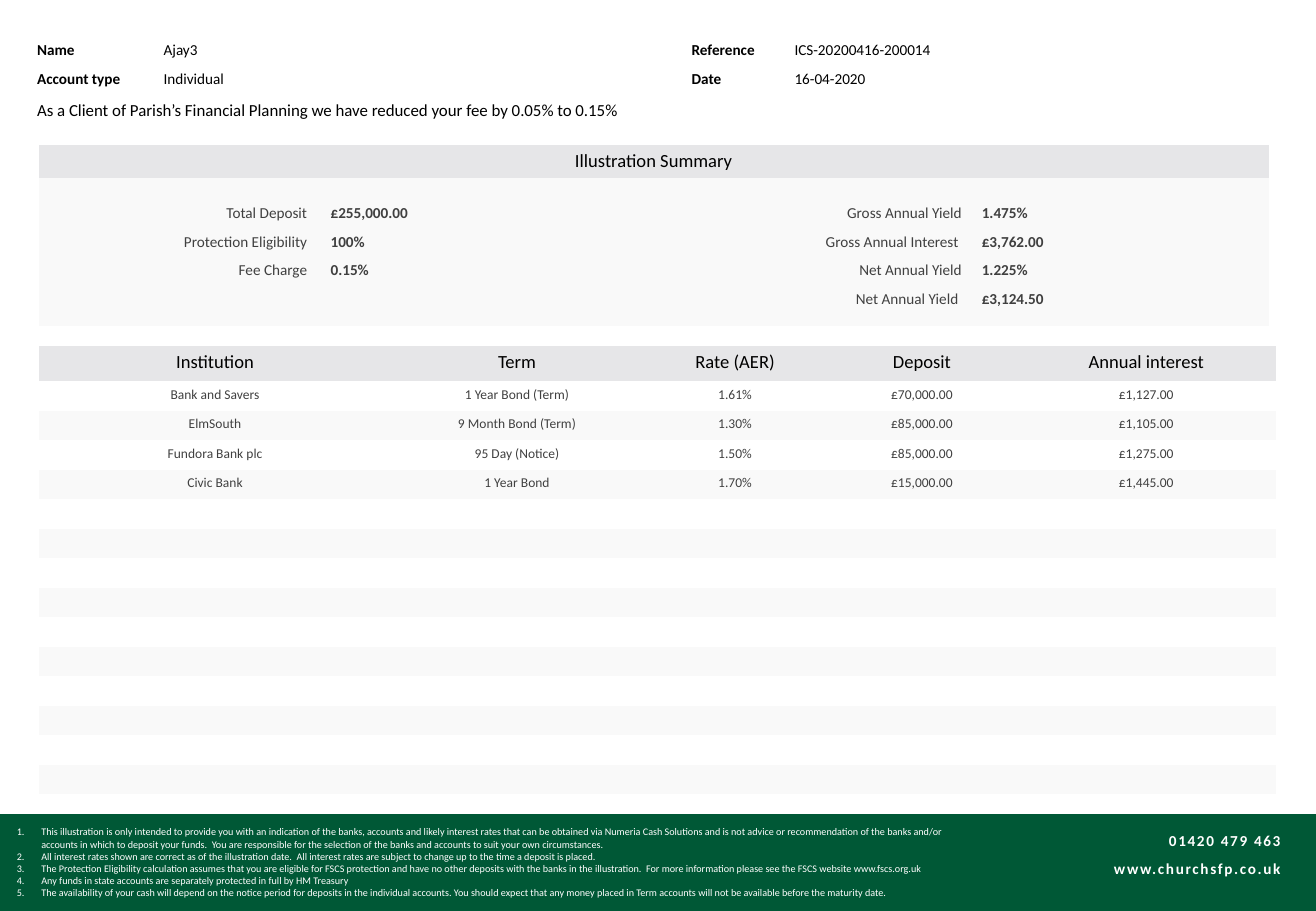
from dataclasses import dataclass
from typing import Optional

from lxml.etree import SubElement
from pptx import Presentation
from pptx.dml.color import RGBColor
from pptx.enum.shapes import MSO_SHAPE
from pptx.enum.text import MSO_ANCHOR, PP_ALIGN
from pptx.oxml.ns import qn
from pptx.util import Emu, Pt

PX = 6350  # EMU in one px, 144 px to the inch
FONT = "Calibri"
NO_STYLE_NO_GRID = "{2D5ABB26-0587-4C30-8999-92F81FD0307C}"
COLORS = {
    "green": "005836",
    "white": "FFFFFF",
    "black": "000000",
    "text": "404040",
    "header": "E6E6E8",
    "band": "F9F9F9",
}


@dataclass
class Cell:
    text: str = ""
    size: int = 9
    color: str = "text"
    bold: bool = False
    align: PP_ALIGN = PP_ALIGN.LEFT
    fill: Optional[str] = None
    span: int = 1


@dataclass
class Grid:
    x: int
    y: int
    cols: list[int]
    heights: list[int]
    rows: list[list[Cell]]
    margins: tuple[int, int] = (12, 6)
    anchor: MSO_ANCHOR = MSO_ANCHOR.TOP
    spacing: Optional[float] = None
    after: int = 0


def px(n: int) -> Emu:
    return Emu(n * PX)


def rgb(name: str) -> RGBColor:
    return RGBColor.from_string(COLORS[name])


def write(p, text: str, *, size: int, color: str, bold: bool = False,
          align: PP_ALIGN = PP_ALIGN.LEFT, spacing: Optional[float] = None,
          after: int = 0, tracking: int = 0, numbered: bool = False) -> None:
    p.text = text
    p.alignment = align
    if spacing:
        p.line_spacing = spacing
    if after:
        p.space_after = Pt(after)
    if numbered:
        pPr = p._p.get_or_add_pPr()
        pPr.set("marL", str(px(29)))
        pPr.set("indent", str(-px(29)))
        SubElement(pPr, qn("a:buFont"), typeface="+mj-lt")
        SubElement(pPr, qn("a:buAutoNum"), type="arabicPeriod")
    for r in p.runs:
        r.font.name = FONT
        r.font.size = Pt(size)
        r.font.bold = bold
        r.font.color.rgb = rgb(color)
        if tracking:
            r._r.get_or_add_rPr().set("spc", str(tracking))


def add_text(s, x: int, y: int, w: int, h: int, lines: list[str],
             margins: tuple[int, int] = (14, 7), **fmt) -> None:
    tf = s.shapes.add_textbox(px(x), px(y), px(w), px(h)).text_frame
    tf.word_wrap = True
    tf.margin_left = tf.margin_right = px(margins[0])
    tf.margin_top = tf.margin_bottom = px(margins[1])
    for i, line in enumerate(lines):
        write(tf.add_paragraph() if i else tf.paragraphs[0], line, **fmt)


def fill_cell(cell, c: Cell, grid: Grid) -> None:
    cell.margin_left = cell.margin_right = px(grid.margins[0])
    cell.margin_top = cell.margin_bottom = px(grid.margins[1])
    cell.vertical_anchor = grid.anchor
    if c.fill:
        cell.fill.solid()
        cell.fill.fore_color.rgb = rgb(c.fill)
    else:
        cell.fill.background()
    p = cell.text_frame.paragraphs[0]
    if c.text:
        write(p, c.text, size=c.size, color=c.color, bold=c.bold, align=c.align,
              spacing=grid.spacing, after=grid.after)
    else:  # a tiny end mark lets an empty row stay low
        SubElement(p._p, qn("a:endParaRPr"), sz="100")


def add_grid(s, grid: Grid) -> None:
    frame = s.shapes.add_table(len(grid.heights), len(grid.cols), px(grid.x), px(grid.y),
                               px(sum(grid.cols)), px(sum(grid.heights)))
    table = frame.table
    table.first_row = table.horz_banding = False
    table._tbl.tblPr.find(qn("a:tableStyleId")).text = NO_STYLE_NO_GRID
    for col, width in zip(table.columns, grid.cols):
        col.width = px(width)
    for row, height in zip(table.rows, grid.heights):
        row.height = px(height)
    for i, cells in enumerate(grid.rows):
        for j, c in enumerate(cells):
            fill_cell(table.cell(i, j), c, grid)
            if c.span > 1:
                table.cell(i, j).merge(table.cell(i, j + c.span - 1))


def header(text: str, span: int = 1) -> Cell:
    return Cell(text, 11, "black", align=PP_ALIGN.CENTER, fill="header", span=span)


def details_grid() -> Grid:
    rows = [[Cell(text, 9, "black", bold=j % 2 == 0) for j, text in enumerate(texts)]
            for texts in (("Name", "Ajay3", "Reference", "ICS-20200416-200014"),
                          ("Account type", "Individual", "Date", "16-04-2020"))]
    fee = ("As a Client of Parish’s Financial Planning we have reduced "
           "your fee by 0.05% to 0.15%")
    rows.append([Cell(fee, 10, "black", span=3), Cell(), Cell(), Cell()])
    return Grid(40, 40, [150, 626, 122, 292], [35, 35, 37], rows, (4, 4),
                MSO_ANCHOR.MIDDLE, 1.19, 3)


def summary_grid() -> Grid:
    body = [
        ("", "", "", ""),
        ("Total Deposit ", "£255,000.00", "Gross Annual Yield", "1.475%"),
        ("Protection Eligibility ", "100%", "Gross Annual Interest ", "£3,762.00"),
        ("Fee Charge ", "0.15%", "Net Annual Yield", "1.225%"),
        ("", "", "Net Annual Yield ", "£3,124.50"),
        ("", "", "", ""),
    ]
    rows = [[header("Illustration Summary", 4)]]
    for texts in body:
        rows.append([Cell(text, bold=j % 2 == 1, fill="band",
                          align=PP_ALIGN.LEFT if j % 2 else PP_ALIGN.RIGHT)
                     for j, text in enumerate(texts)])
    return Grid(46, 172, [334, 369, 403, 352], [39, 25] + [34] * 4 + [13], rows)


def deposits_grid() -> Grid:
    deposits = [
        ("Bank and Savers", "1 Year Bond (Term)", "1.61%", "£70,000.00", "£1,127.00"),
        ("ElmSouth", "9 Month Bond (Term)", "1.30%", "£85,000.00", "£1,105.00"),
        ("Fundora Bank plc", "95 Day (Notice)", "1.50%", "£85,000.00", "£1,275.00"),
        ("Civic Bank", "1 Year Bond", "1.70%", "£15,000.00", "£1,445.00"),
    ]
    body_rows = 14
    deposits += [("",) * 5] * (body_rows - len(deposits))
    titles = ("Institution", "Term", "Rate (AER)", "Deposit", "Annual interest")
    rows = [[header(title) for title in titles]]
    for i, texts in enumerate(deposits):
        rows.append([Cell(text, 8, align=PP_ALIGN.CENTER, fill="band" if i % 2 else None)
                     for text in texts])
    return Grid(46, 410, [418, 298, 219, 224, 308], [42] + [35] * body_rows, rows)


def add_footer(s) -> None:
    bar = s.shapes.add_shape(MSO_SHAPE.RECTANGLE, px(0), px(966), px(1560), px(114))
    bar.shadow.inherit = False
    bar.fill.solid()
    bar.fill.fore_color.rgb = bar.line.color.rgb = rgb("green")
    bar.line.width = Pt(1)
    notes = [
        "This illustration is only intended to provide you with an indication of the banks, accounts and likely interest rates that can be obtained via Numeria Cash Solutions and is not advice or recommendation of the banks and/or \vaccounts in which to deposit your funds.  You are responsible for the selection of the banks and accounts to suit your own circumstances.",
        "All interest rates shown are correct as of the illustration date.  All interest rates are subject to change up to the time a deposit is placed.",
        "The Protection Eligibility calculation assumes that you are eligible for FSCS protection and have no other deposits with the banks in the illustration.  For more information please see the FSCS website www.fscs.org.uk",
        "Any funds in state accounts are separately protected in full by HM Treasury",
        "The availability of your cash will depend on the notice period for deposits in the individual accounts. You should expect that any money placed in Term accounts will not be available before the maturity date.",
    ]
    add_text(s, 16, 975, 1234, 96, notes, (4, 4), size=6, color="white", numbered=True)
    add_text(s, 1156, 968, 376, 76, ["01420 479 463", "www.churchsfp.co.uk"], size=9,
             color="white", bold=True, align=PP_ALIGN.RIGHT, spacing=1.5, tracking=100)


def main() -> None:
    prs = Presentation()
    prs.slide_width, prs.slide_height = px(1560), px(1080)
    s = prs.slides.add_slide(prs.slide_layouts[6])
    add_footer(s)
    for grid in (details_grid(), deposits_grid(), summary_grid()):
        add_grid(s, grid)
    prs.save("out.pptx")


if __name__ == "__main__":
    main()
